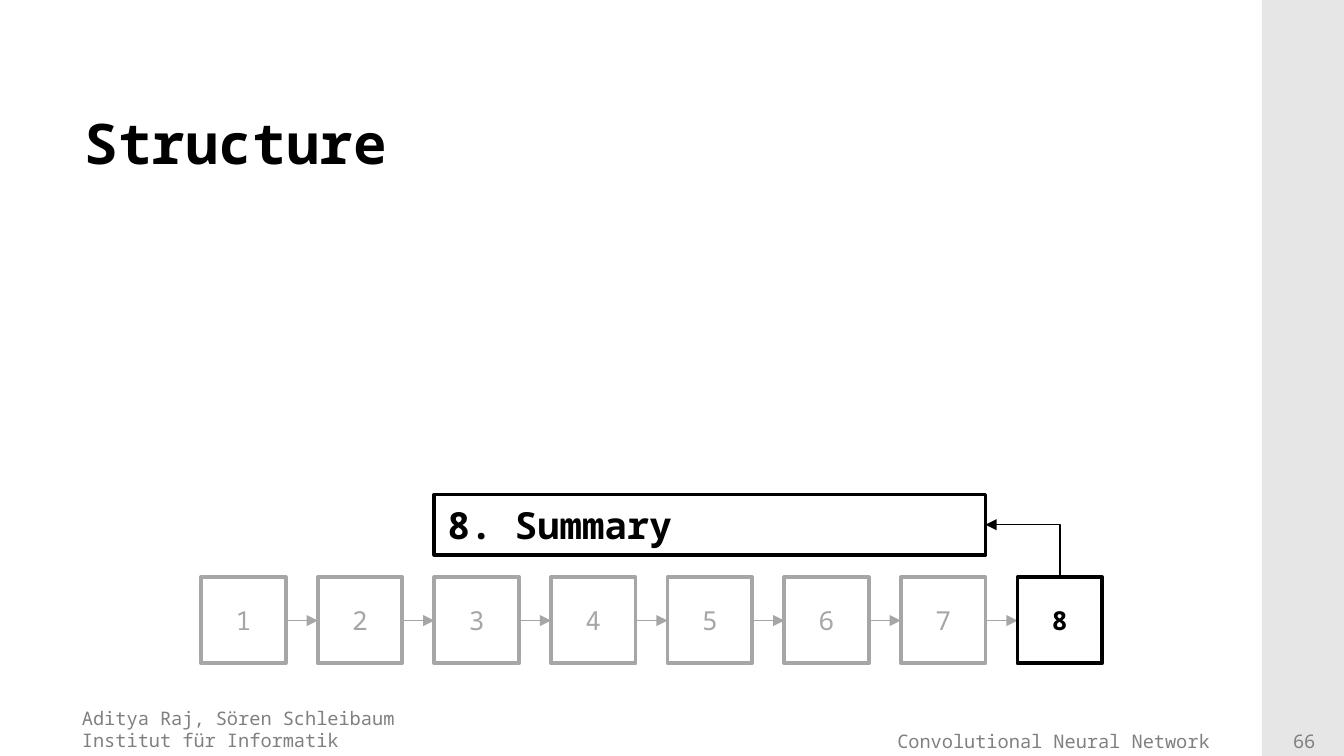
from lxml import etree
from pptx import Presentation
from pptx.dml.color import RGBColor
from pptx.enum.shapes import MSO_CONNECTOR, MSO_SHAPE
from pptx.enum.text import MSO_ANCHOR, PP_ALIGN
from pptx.oxml.ns import qn
from pptx.util import Cm, Pt

RECTANGLE = MSO_SHAPE.RECTANGLE
STRAIGHT, ELBOW = MSO_CONNECTOR.STRAIGHT, MSO_CONNECTOR.ELBOW
TOP, MIDDLE, BOTTOM = MSO_ANCHOR.TOP, MSO_ANCHOR.MIDDLE, MSO_ANCHOR.BOTTOM
LEFT, CENTER, RIGHT = PP_ALIGN.LEFT, PP_ALIGN.CENTER, PP_ALIGN.RIGHT

FONT = "Noto Sans Mono"
BLACK, WHITE, MUTED = "000000", "FFFFFF", "A6A6A6"
FOOTER, SIDEBAR = "808080", "E6E6E6"


def paint(color_format, color):
    """Apply a hex colour to a fill, line or font colour."""
    color_format.rgb = RGBColor.from_string(color)


def write(shape, lines, size, color, bold=False, align=LEFT, anchor=MIDDLE):
    """Write one paragraph per line into a shape."""
    frame = shape.text_frame
    frame.word_wrap = True
    frame.vertical_anchor = anchor
    for index, line in enumerate(lines):
        para = frame.add_paragraph() if index else frame.paragraphs[0]
        para.alignment = align
        span = para.add_run()
        span.text = line
        span.font.name = FONT
        span.font.size = Pt(size)
        span.font.bold = bold
        paint(span.font.color, color)


def add_text(page, box, lines, size, color, **style):
    """Add a text box at (left, top, width, height) in centimetres."""
    shape = page.shapes.add_textbox(*map(Cm, box))
    write(shape, lines, size, color, **style)
    return shape


def add_box(page, box, fill, line=None):
    """Add a plain rectangle, outlined if a line colour is given."""
    shape = page.shapes.add_shape(RECTANGLE, *map(Cm, box))
    shape.shadow.inherit = False
    shape.fill.solid()
    paint(shape.fill.fore_color, fill)
    if line:
        paint(shape.line.color, line)
        shape.line.width = Pt(2)
    else:
        shape.line.fill.background()
    return shape


def add_arrow(page, kind, start, end, color):
    """Add a thin connector with a triangle at its end."""
    arrow = page.shapes.add_connector(kind, *map(Cm, (*start, *end)))
    paint(arrow.line.color, color)
    arrow.line.width = Pt(0.75)
    etree.SubElement(arrow.line._get_or_add_ln(), qn("a:tailEnd"), type="triangle")
    etree.SubElement(arrow._element.spPr, qn("a:effectLst"))
    return arrow


def add_corner_arrow(page, start, end, color):
    """Add an arrow that goes up from start, then left to end."""
    rise, run = start[1] - end[1], start[0] - end[0]
    middle_x, middle_y = (start[0] + end[0]) / 2, (start[1] + end[1]) / 2
    arrow = add_arrow(page, ELBOW,
                      (middle_x - rise / 2, middle_y + run / 2),
                      (middle_x + rise / 2, middle_y - run / 2), color)
    properties = arrow._element.spPr
    properties.find(qn("a:xfrm")).set("rot", str(270 * 60000))
    properties.find(qn("a:prstGeom")).set("prst", "bentConnector2")


def add_frame(page, box):
    """Add the sidebar and footer around the slide content."""
    left, top, width, height = box
    right, bottom = left + width, top + height
    add_box(page, (right - 1.55, top, 1.55, height), SIDEBAR)
    add_text(page, (left + 1.3, bottom - 1.06, 10.8, 1.12),
             ["Aditya Raj, Sören Schleibaum", "Institut für Informatik"],
             10, FOOTER, anchor=TOP)
    course = add_text(page, (left + 12.32, bottom - 0.96, 11, 1.02),
                      ["Convolutional Neural Network"],
                      10, FOOTER, align=RIGHT, anchor=BOTTOM)
    course.text_frame.margin_right = Cm(0.46)
    add_text(page, (right - 1.4, bottom - 0.62, 1.3, 0.69), ["66"],
             10, FOOTER, align=CENTER)


def add_chapters(page, box, count, current, name):
    """Add the chain of chapter boxes with the current one named above."""
    left, top, width, height = box
    side, label_height = 1.6, 1.14
    pitch = (width - side) / (count - 1)
    chain_top = top + height - 1.63
    chain_middle = chain_top + 0.82
    for number in range(1, count + 1):
        x = left + (number - 1) * pitch
        active = number == current
        color = BLACK if active else MUTED
        chapter = add_box(page, (x, chain_top, side, 1.63), WHITE, color)
        write(chapter, [str(number)], 14, color, bold=active, align=CENTER)
        if number < count:
            add_arrow(page, STRAIGHT, (x + side, chain_middle),
                      (x + pitch, chain_middle), MUTED)

    label_left = left + 2 * pitch
    label_width = 4 * pitch + side
    label = add_box(page, (label_left, top, label_width, label_height), WHITE, BLACK)
    write(label, [f"{current}. {name}"], 20, BLACK, bold=True)
    add_corner_arrow(page, (left + (current - 1) * pitch + side / 2, chain_top),
                     (label_left + label_width, top + label_height / 2), BLACK)


def main():
    """Build and save the deck."""
    deck = Presentation()
    deck.slide_width, deck.slide_height = Cm(25.4), Cm(14.29)
    page = deck.slides.add_slide(deck.slide_layouts[6])
    add_frame(page, (0, 0, 25.4, 14.29))
    add_text(page, (1.35, 1.96, 21.95, 1.45), ["Structure"], 30, BLACK, bold=True)
    add_chapters(page, (3.8, 9.35, 17.03, 3.19), 8, 8, "Summary")
    deck.save("out.pptx")


main()
